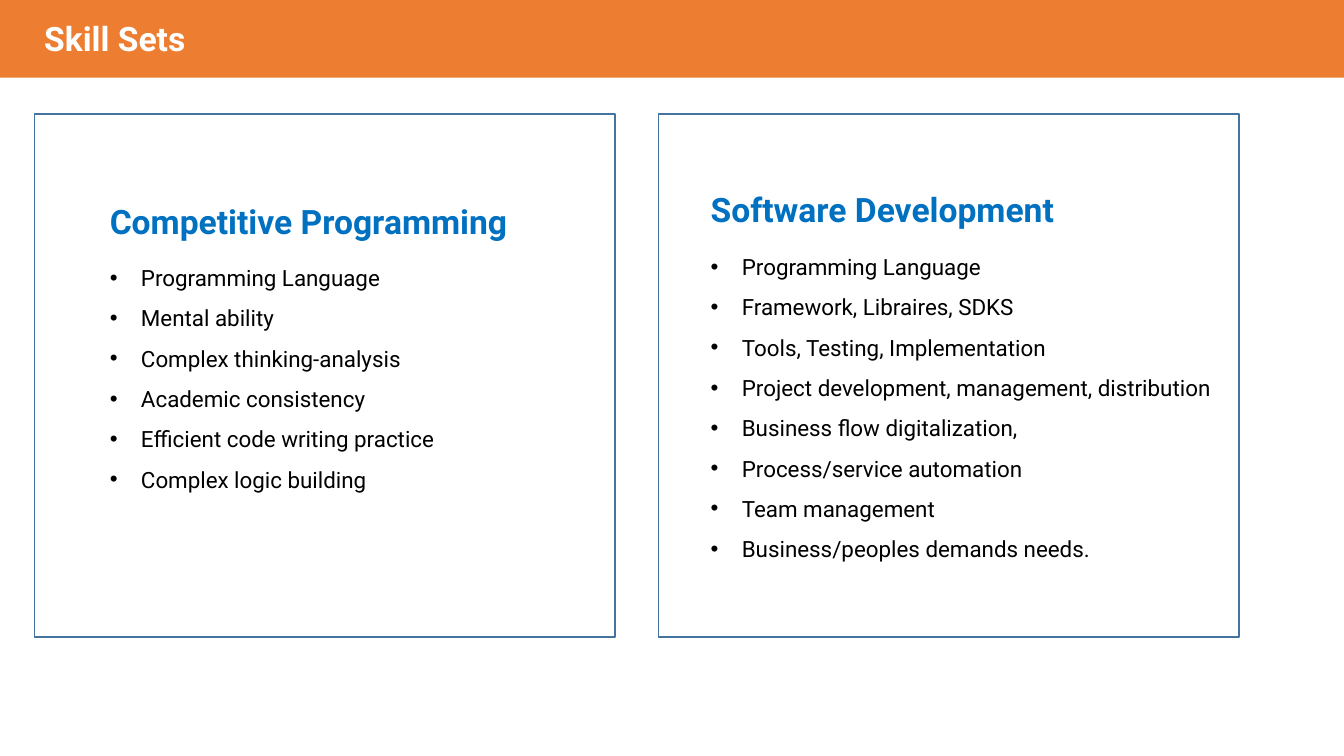
from pptx import Presentation
from pptx import util as u
from pptx.dml.color import RGBColor
from pptx.enum import shapes, text
from pptx.oxml.xmlchemy import OxmlElement

WIDTH, HEIGHT = 13.33, 7.5
FONT = "Roboto"
ORANGE, BLUE, FRAME_BLUE = "ED7D31", "0070C0", "43739E"
WHITE, BLACK = "FFFFFF", "000000"

MARGIN = 0.34
PANEL_TOP, PANEL_WIDTH, PANEL_HEIGHT = 1.13, 5.76, 5.19
PANEL_PITCH = 6.19
HEADING_HEIGHT = 0.5
BULLET_INDENT = 0.31

# Heading, text left, heading top, heading width, list width, list height, items
PANELS = [
    ("Competitive Programming", 0.99, 1.94, 4.28, 3.49, 2.83, [
        "Programming Language",
        "Mental ability",
        "Complex thinking-analysis",
        "Academic consistency",
        "Efficient code writing practice",
        "Complex logic building",
    ]),
    ("Software Development", 6.95, 1.83, 3.62, 5.24, 3.29, [
        "Programming Language",
        "Framework, Libraires, SDKS",
        "Tools, Testing, Implementation",
        "Project development, management, distribution",
        "Business flow digitalization,",
        "Process/service automation",
        "Team management",
        "Business/peoples demands needs.",
    ]),
]


def color(value):
    return RGBColor.from_string(value)


def add_rectangle(slide, left, top, width, height, fill=None, line=None):
    shape = slide.shapes.add_shape(
        shapes.MSO_SHAPE.RECTANGLE,
        u.Inches(left), u.Inches(top), u.Inches(width), u.Inches(height))
    shape.shadow.inherit = False
    if fill:
        shape.fill.solid()
        shape.fill.fore_color.rgb = color(fill)
    else:
        shape.fill.background()
    if line:
        shape.line.color.rgb = color(line)
        shape.line.width = u.Pt(1)
    else:
        shape.line.fill.background()


def add_bullet(paragraph):
    properties = paragraph._p.get_or_add_pPr()
    properties.set("marL", str(u.Inches(BULLET_INDENT)))
    properties.set("indent", str(-u.Inches(BULLET_INDENT)))
    font = OxmlElement("a:buFont")
    font.set("typeface", "Arial")
    bullet = OxmlElement("a:buChar")
    bullet.set("char", "•")
    properties.extend([font, bullet])


def add_text(parent, left, top, width, height, lines, size, font_color,
             bold=False, bulleted=False):
    """Add a text box to a slide or a group, one paragraph for each line."""
    box = parent.shapes.add_textbox(
        u.Inches(left), u.Inches(top), u.Inches(width), u.Inches(height))
    frame = box.text_frame
    frame.word_wrap = False
    frame.auto_size = text.MSO_AUTO_SIZE.SHAPE_TO_FIT_TEXT
    for index, line in enumerate(lines):
        paragraph = frame.add_paragraph() if index else frame.paragraphs[0]
        if bulleted:
            paragraph.line_spacing = 1.5
            add_bullet(paragraph)
        run = paragraph.add_run()
        run.text = line
        run.font.name = FONT
        run.font.size = u.Pt(size)
        run.font.bold = bold
        run.font.color.rgb = color(font_color)


def add_panel(slide, column, heading, left, top, heading_width,
              list_width, list_height, items):
    add_rectangle(slide, MARGIN + column * PANEL_PITCH, PANEL_TOP,
                  PANEL_WIDTH, PANEL_HEIGHT, line=FRAME_BLUE)
    group = slide.shapes.add_group_shape()
    add_text(group, left, top, heading_width, HEADING_HEIGHT,
             [heading], 24, BLUE, bold=True)
    add_text(group, left, top + HEADING_HEIGHT, list_width, list_height,
             items, 16, BLACK, bulleted=True)


def main():
    presentation = Presentation()
    presentation.slide_width = u.Inches(WIDTH)
    presentation.slide_height = u.Inches(HEIGHT)
    slide = presentation.slides.add_slide(presentation.slide_layouts[6])

    add_rectangle(slide, 0, 0, WIDTH, 0.77, fill=ORANGE)
    add_text(slide, MARGIN, 0.13, 1.62, HEADING_HEIGHT,
             ["Skill Sets"], 24, WHITE, bold=True)
    for column, panel in enumerate(PANELS):
        add_panel(slide, column, *panel)

    presentation.save("out.pptx")


if __name__ == "__main__":
    main()
